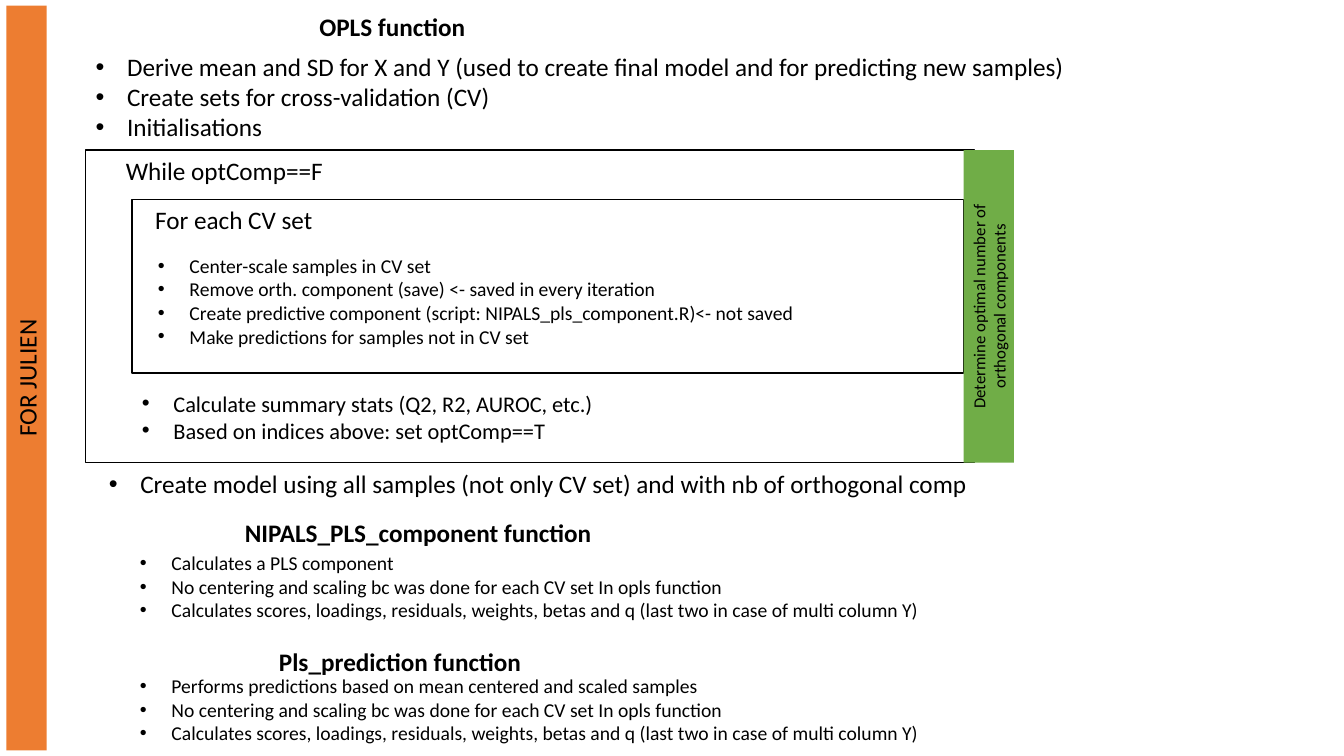
import pptx
import pptx.util
import pptx.dml.color
import pptx.enum.shapes
import pptx.enum.text
import lxml.etree

Pt = pptx.util.Pt
RECT = pptx.enum.shapes.MSO_SHAPE.RECTANGLE
FIT = pptx.enum.text.MSO_AUTO_SIZE.SHAPE_TO_FIT_TEXT
CENTER = pptx.enum.text.PP_ALIGN.CENTER
NS = "{http://schemas.openxmlformats.org/drawingml/2006/main}"


def tint(hue):
    return pptx.dml.color.RGBColor.from_string(hue)


class Page:
    font = "Calibri"
    ink = "000000"
    hang = 22.5

    def __init__(self, deck):
        self.slide = deck.slides.add_slide(deck.slide_layouts[6])

    def fill_text(self, frame, lines, size, bold=False):
        """Write one styled paragraph per line and return the paragraphs."""
        frame.auto_size = FIT
        frame.text = "\n".join(lines)
        for para in frame.paragraphs:
            para.font.name = self.font
            para.font.size = Pt(size)
            para.font.bold = bold
            para.font.color.rgb = tint(self.ink)
        return frame.paragraphs

    def text(self, box, lines, size=18, bold=False, wrap=False):
        frame = self.slide.shapes.add_textbox(*map(Pt, box)).text_frame
        frame.word_wrap = wrap
        return self.fill_text(frame, lines, size, bold)

    def list(self, box, lines, size=18, wrap=False):
        """Add a text box with hanging bullets."""
        for para in self.text(box, lines, size, wrap=wrap):
            props = para._p.get_or_add_pPr()
            props.set("marL", str(Pt(self.hang)))
            props.set("indent", str(-Pt(self.hang)))
            lxml.etree.SubElement(props, NS + "buFont", typeface="Arial")
            lxml.etree.SubElement(props, NS + "buChar", char="•")

    def head(self, box, line):
        self.text(box, [line], bold=True)

    def frame(self, box):
        """Add an unfilled outline."""
        rect = self.slide.shapes.add_shape(RECT, *map(Pt, box))
        rect.shadow.inherit = False
        rect.fill.background()
        rect.line.color.rgb = tint(self.ink)
        rect.line.width = Pt(1)

    def bar(self, box, hue, lines, size):
        """Add an upright bar, box as seen, with text that reads upwards."""
        left, top, wide, high = box
        shift = (high - wide) / 2
        turned = (left - shift, top + shift, high, wide)
        rect = self.slide.shapes.add_shape(RECT, *map(Pt, turned))
        rect.rotation = 270
        rect.shadow.inherit = False
        rect.fill.solid()
        rect.fill.fore_color.rgb = tint(hue)
        rect.line.fill.background()
        rect.text_frame.word_wrap = True
        for para in self.fill_text(rect.text_frame, lines, size):
            para.alignment = CENTER


def main():
    deck = pptx.Presentation()
    deck.slide_width, deck.slide_height = Pt(960), Pt(540)
    page = Page(deck)
    loop, inner, row = 107.3, 142.6, 28.8

    page.frame((94.3, inner, 594, 123.8))
    page.frame((61.2, loop, 635, 223.2))

    page.head((221, 4.3, 120.2, row), "OPLS function")
    page.list((61.2, 33.1, 732.2, 116.6), [
        "Derive mean and SD for X and Y (used to create final model "
        "and for predicting new samples)",
        "Create sets for cross-validation (CV)",
        "Initialisations",
    ], wrap=True)
    page.text((82.8, loop, 157, row), ["While optComp==F"])
    page.text((103.7, inner, 128.2, row), ["For each CV set"])
    page.list((105.8, 177.8, 473, 74.9), [
        "Center-scale samples in CV set",
        "Remove orth. component (save) <- saved in every iteration",
        "Create predictive component (script: NIPALS_pls_component.R)"
        "<- not saved",
        "Make predictions for samples not in CV set",
    ], 14)
    page.list((94.3, 275, 340.6, 46.1), [
        "Calculate summary stats (Q2, R2, AUROC, etc.)",
        "Based on indices above: set optComp==T",
    ], 16)
    page.list((70.6, 331.2, 635, row), [
        "Create model using all samples (not only CV set) "
        "and with nb of orthogonal comp",
    ])

    page.head((167.8, 365.8, 264.2, row), "NIPALS_PLS_component function")
    page.head((192.2, 457.9, 189.4, row), "Pls_prediction function")
    shared = [
        "No centering and scaling bc was done for each CV set "
        "In opls function",
        "Calculates scores, loadings, residuals, weights, betas and q "
        "(last two in case of multi column Y)",
    ]
    for top, first in (
        (390.2, "Calculates a PLS component"),
        (478.1, "Performs predictions based on mean centered "
                "and scaled samples"),
    ):
        page.list((92.9, top, 576, 58.3), [first] + shared, 14)

    page.bar((4.6, 4, row, 532), "ED7D31", ["FOR JULIEN"], 18)
    page.bar((688.3, loop, 36, 223.2), "70AD47", [
        "Determine optimal number of",
        "orthogonal components",
    ], 12)
    deck.save("out.pptx")


if __name__ == "__main__":
    main()
